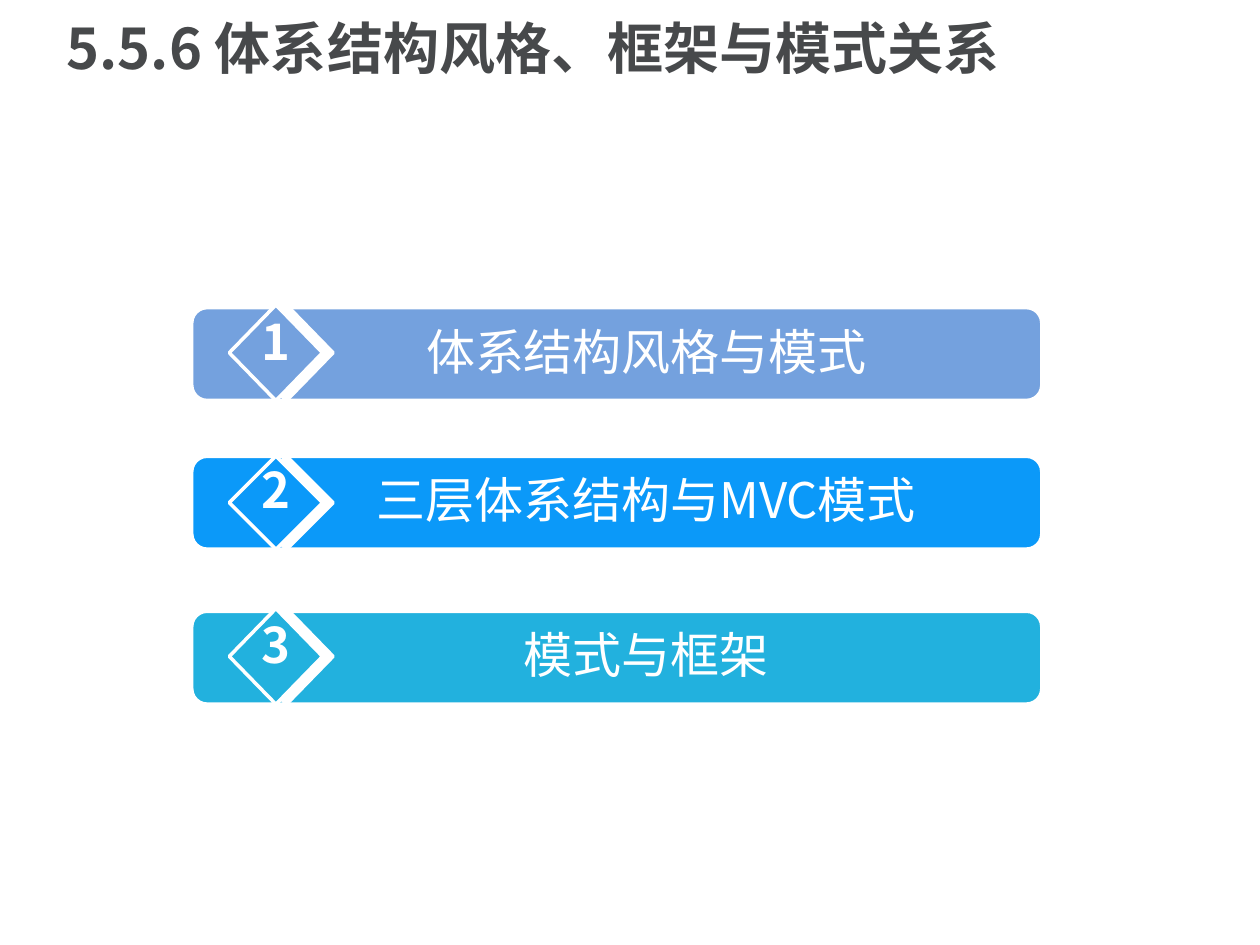
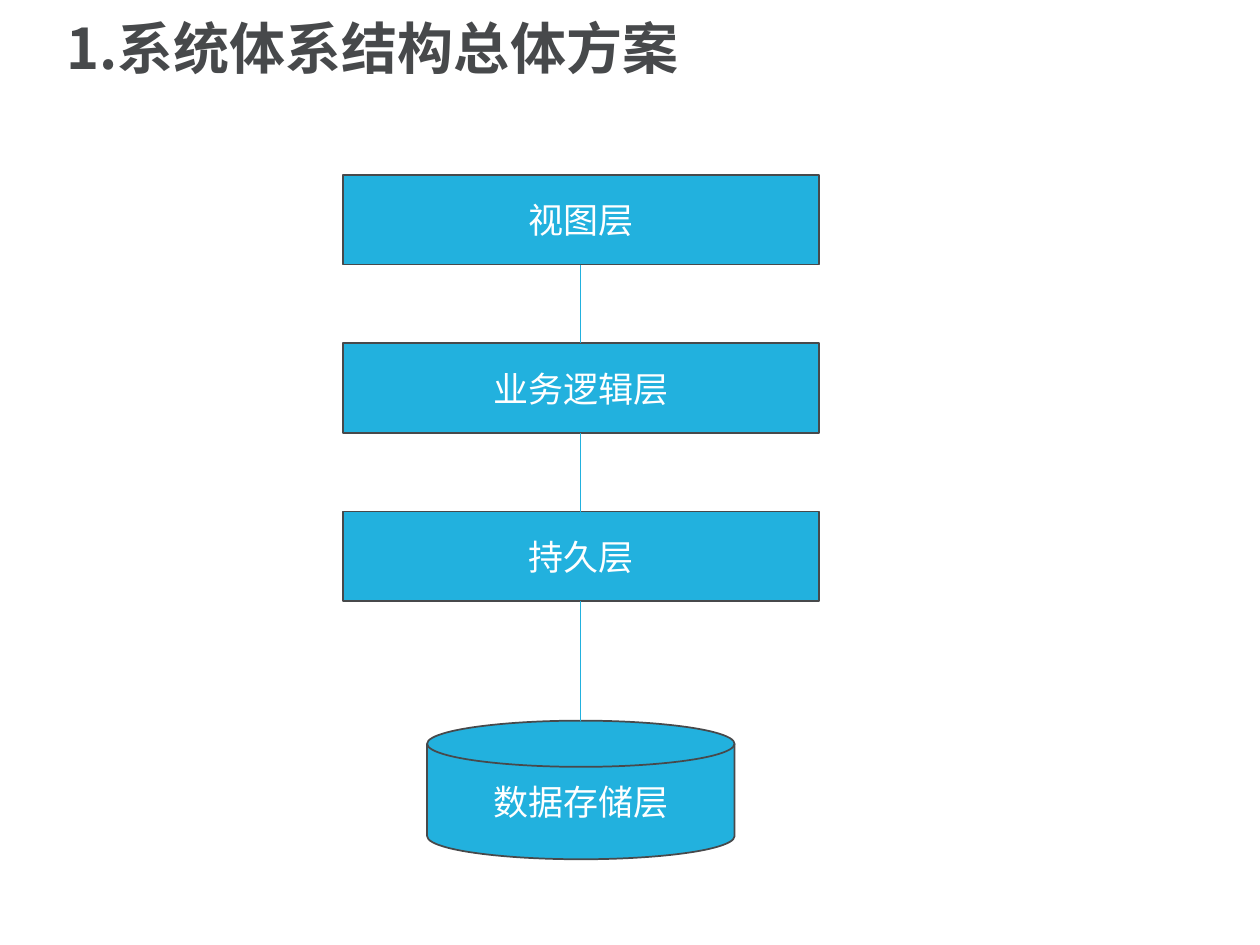
import pptx
import pptx.util
import pptx.dml.color
import pptx.enum.shapes
import pptx.enum.text
import pptx.oxml
import pptx.oxml.ns
from lxml import etree

Inches = pptx.util.Inches
SHAPES = pptx.enum.shapes.MSO_SHAPE
ANCHOR = pptx.enum.text.MSO_ANCHOR
ALIGN = pptx.enum.text.PP_ALIGN

# Content
TOPICS_TITLE = "5.5.6 体系结构风格、框架与模式关系"
TOPICS = [  # label, colour, bar top, diamond height
    ("体系结构风格与模式", "74A1DE", 2.44, 0.76),
    ("三层体系结构与MVC模式", "0B99F9", 3.62, 0.74),
    ("模式与框架", "22B1DE", 4.85, 0.76),
]
LAYERS_TITLE = "1.系统体系结构总体方案"
LAYERS = ["视图层", "业务逻辑层", "持久层"]
STORAGE = "数据存储层"

# Shared style
WHITE, DARK, CYAN = "FFFFFF", "47494B", "22B1DE"
SANS_SC, SANS_JP = "Noto Sans CJK SC", "Noto Sans CJK JP"
TITLE_FORMAT = {"size": 32, "bold": True, "name": SANS_SC, "color": DARK}
LABEL_FORMAT = {"size": 28, "bold": False, "name": SANS_JP, "color": WHITE}
NUMBER_FORMAT = {**LABEL_FORMAT, "bold": True}
LAYER_FORMAT = {"size": 20, "bold": False, "name": SANS_SC, "color": WHITE}

# Layout in inches
BAR_LEFT, BAR_WIDTH, BAR_HEIGHT = 1.52, 6.75, 0.74
DIAMOND_LEFT, DIAMOND_WIDTH = 1.82, 0.74
LABEL_LEFT, LABEL_WIDTH, TEXT_HEIGHT = 2.33, 5.6, 0.57
CENTER = 4.61
LAYER_TOP, LAYER_STEP, LAYER_WIDTH, LAYER_HEIGHT = 1.39, 1.335, 3.78, 0.71
DISK_TOP, DISK_WIDTH, DISK_HEIGHT = 5.72, 2.44, 1.1


def color(value):
    return pptx.dml.color.RGBColor.from_string(value)


def write(shape, text, formats, align=ALIGN.CENTER, anchor=ANCHOR.TOP):
    frame = shape.text_frame
    frame.word_wrap = True
    frame.vertical_anchor = anchor
    paragraph = frame.paragraphs[0]
    paragraph.alignment = align
    run = paragraph.add_run()
    run.text = text
    for key, value in formats.items():
        if key == "color":
            run.font.color.rgb = color(value)
        else:
            setattr(run.font, key, pptx.util.Pt(value) if key == "size" else value)
    east_asian = etree.SubElement(run.font._element, pptx.oxml.ns.qn("a:ea"))
    east_asian.set("typeface", formats["name"])
    return paragraph


def add_text(slide, box, *args, **options):
    shape = slide.shapes.add_textbox(*map(Inches, box))
    return write(shape, *args, **options)


def add_block(slide, kind, box, fill, line, line_width):
    shape = slide.shapes.add_shape(kind, *map(Inches, box))
    shape.shadow.inherit = False
    shape.fill.solid()
    shape.fill.fore_color.rgb = color(fill)
    shape.line.color.rgb = color(line)
    shape.line.width = pptx.util.Pt(line_width)
    return shape


def add_white_shadow(shape, distance):
    effects = shape._element.spPr.find(pptx.oxml.ns.qn("a:effectLst"))
    effects.append(pptx.oxml.parse_xml(
        f'<a:outerShdw {pptx.oxml.ns.nsdecls("a")} blurRad="0" '
        f'dist="{pptx.util.Pt(distance)}" dir="0" algn="ctr" rotWithShape="0">'
        f'<a:srgbClr val="{WHITE}"/></a:outerShdw>'))


def add_link(slide, top, bottom):
    link = slide.shapes.add_connector(
        pptx.enum.shapes.MSO_CONNECTOR.STRAIGHT,
        Inches(CENTER), Inches(top), Inches(CENTER), Inches(bottom))
    link.line.color.rgb = color(CYAN)
    link.line.width = pptx.util.Pt(0.5)
    etree.SubElement(link._element.spPr, pptx.oxml.ns.qn("a:effectLst"))


def add_slide(presentation, title):
    slide = presentation.slides.add_slide(presentation.slide_layouts[6])
    paragraph = add_text(slide, (0.43, 0.06, 9.05, 0.7), title, TITLE_FORMAT,
                         align=ALIGN.LEFT, anchor=ANCHOR.MIDDLE)
    paragraph.line_spacing = 0.9
    properties = paragraph._p.get_or_add_pPr()
    properties.set("marL", str(Inches(0.67)))
    properties.set("indent", str(-Inches(0.67)))
    return slide


def add_topic(slide, number, label, fill, top, diamond_height):
    add_block(slide, SHAPES.ROUNDED_RECTANGLE,
              (BAR_LEFT, top, BAR_WIDTH, BAR_HEIGHT), fill, WHITE, 2.25)
    # The diamond stands on the bottom edge of its bar
    diamond_top = top + BAR_HEIGHT - diamond_height
    diamond = add_block(slide, SHAPES.DIAMOND,
                        (DIAMOND_LEFT, diamond_top, DIAMOND_WIDTH, diamond_height),
                        fill, WHITE, 2)
    add_white_shadow(diamond, 6)
    add_text(slide, (DIAMOND_LEFT, top - 0.02, DIAMOND_WIDTH, TEXT_HEIGHT),
             str(number), NUMBER_FORMAT)
    add_text(slide, (LABEL_LEFT, top + 0.06, LABEL_WIDTH, TEXT_HEIGHT),
             label, LABEL_FORMAT)


def add_layer(slide, kind, text, top, width, height):
    shape = add_block(slide, kind, (CENTER - width / 2, top, width, height),
                      CYAN, DARK, 1)
    write(shape, text, LAYER_FORMAT, anchor=ANCHOR.MIDDLE)


def main():
    presentation = pptx.Presentation()
    presentation.slide_width, presentation.slide_height = Inches(10), Inches(7.5)

    # Numbered topics
    slide = add_slide(presentation, TOPICS_TITLE)
    for number, topic in enumerate(TOPICS, 1):
        add_topic(slide, number, *topic)

    # Layers stacked above the data store
    slide = add_slide(presentation, LAYERS_TITLE)
    tops = [LAYER_TOP + index * LAYER_STEP for index in range(len(LAYERS))]
    for text, top in zip(LAYERS, tops):
        add_layer(slide, SHAPES.RECTANGLE, text, top, LAYER_WIDTH, LAYER_HEIGHT)
    add_layer(slide, SHAPES.FLOWCHART_MAGNETIC_DISK, STORAGE,
              DISK_TOP, DISK_WIDTH, DISK_HEIGHT)
    for top, next_top in zip(tops, tops[1:] + [DISK_TOP]):
        add_link(slide, top + LAYER_HEIGHT, next_top)

    presentation.save("out.pptx")


if __name__ == "__main__":
    main()
